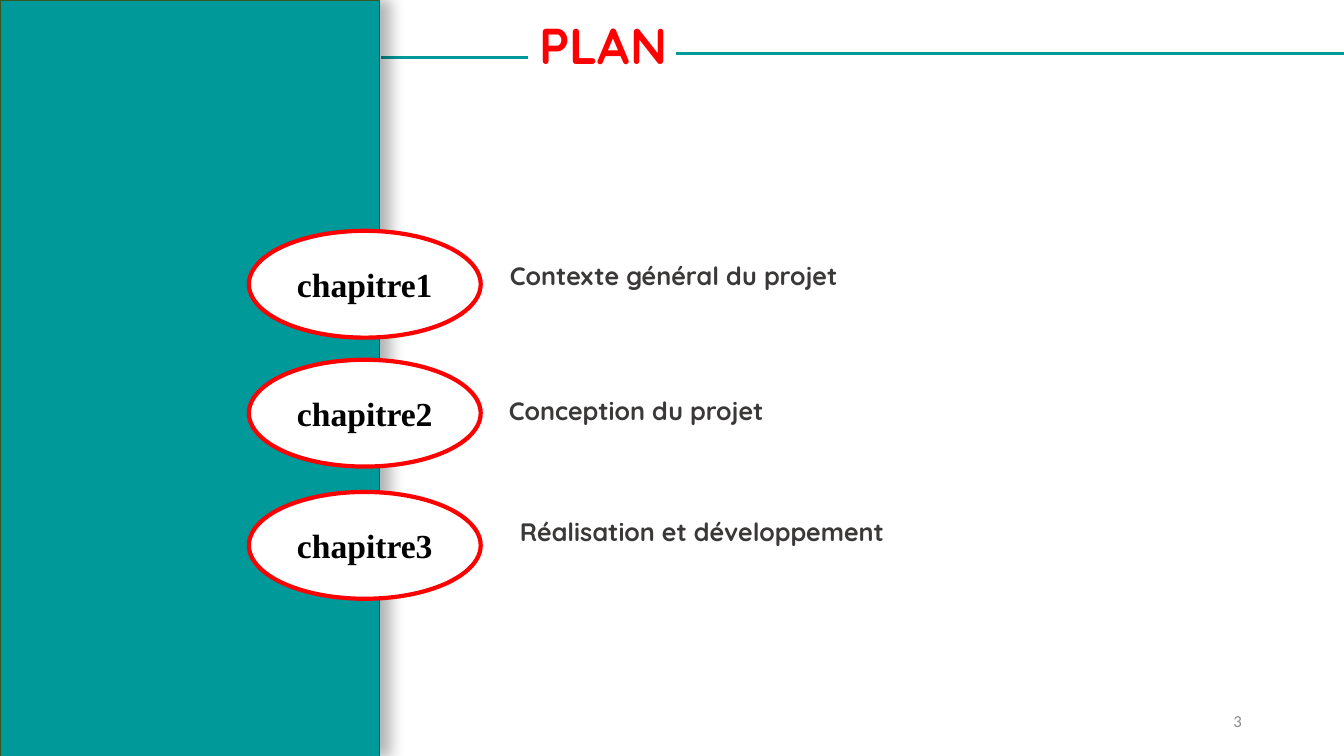
from dataclasses import dataclass

from lxml import etree
from pptx import Presentation
from pptx.dml.color import RGBColor
from pptx.enum import shapes, text
from pptx.oxml import ns
from pptx.util import Pt

TEAL = RGBColor(0x00, 0x99, 0x99)
DARK_GREEN = RGBColor(0x38, 0x57, 0x23)
RED = RGBColor(0xFF, 0x00, 0x00)
WHITE = RGBColor(0xFF, 0xFF, 0xFF)
BLACK = RGBColor(0x00, 0x00, 0x00)
CHARCOAL = RGBColor(0x3B, 0x38, 0x38)
GREY = RGBColor(0x8C, 0x8C, 0x8C)

HEADING_FONT = "Quicksand"
SLIDE_WIDTH, SLIDE_HEIGHT = 960, 540
LEFT, CENTER, RIGHT = text.PP_ALIGN.LEFT, text.PP_ALIGN.CENTER, text.PP_ALIGN.RIGHT
TOP, MIDDLE = text.MSO_ANCHOR.TOP, text.MSO_ANCHOR.MIDDLE


@dataclass(frozen=True)
class TextStyle:
    font: str
    size: float
    color: RGBColor
    bold: bool = True
    align: text.PP_ALIGN = LEFT
    anchor: text.MSO_ANCHOR = TOP


@dataclass(frozen=True)
class Chapter:
    label: str
    topic: str
    oval_top: float
    topic_left: float
    topic_top: float
    topic_width: float


@dataclass(frozen=True)
class Rule:
    start: float
    end: float
    y: float


TITLE = TextStyle(HEADING_FONT, 36, RED, align=CENTER)
TOPIC = TextStyle(HEADING_FONT, 18, CHARCOAL)
LABEL = TextStyle("Times New Roman", 24, BLACK, align=CENTER, anchor=MIDDLE)
PAGE_NUMBER = TextStyle("Calibri", 12, GREY, bold=False, align=RIGHT, anchor=MIDDLE)

CHAPTERS = [
    Chapter("chapitre1", "Contexte général du projet", 164.9, 357.1, 182.2, 373),
    Chapter("chapitre2", "Conception du projet", 257, 356.4, 278.6, 409.7),
    Chapter("chapitre3", "Réalisation et développement", 351.4, 364.3, 365, 566.6),
]
RULES = [Rule(272.2, 377.3, 41), Rule(483.1, SLIDE_WIDTH, 38.2)]


def write(shape, wording: str, style: TextStyle) -> None:
    frame = shape.text_frame
    frame.word_wrap = True
    frame.auto_size = text.MSO_AUTO_SIZE.NONE
    frame.vertical_anchor = style.anchor
    paragraph = frame.paragraphs[0]
    paragraph.alignment = style.align
    run = paragraph.add_run()
    run.text = wording
    run.font.name = style.font
    run.font.size = Pt(style.size)
    run.font.bold = style.bold
    run.font.color.rgb = style.color


def add_text(slide, wording: str, style: TextStyle, left: float, top: float,
             width: float, height: float) -> None:
    box = slide.shapes.add_textbox(Pt(left), Pt(top), Pt(width), Pt(height))
    write(box, wording, style)


def add_outlined(slide, kind: shapes.MSO_SHAPE, left: float, top: float, width: float,
                 height: float, fill: RGBColor, line: RGBColor, weight: float):
    shape = slide.shapes.add_shape(kind, Pt(left), Pt(top), Pt(width), Pt(height))
    shape.shadow.inherit = False
    shape.fill.solid()
    shape.fill.fore_color.rgb = fill
    shape.line.color.rgb = line
    shape.line.width = Pt(weight)
    return shape


def cast_shadow(shape, blur: float, distance: float, opacity: int) -> None:
    effects = shape._element.spPr.find(ns.qn("a:effectLst"))
    shadow = etree.SubElement(effects, ns.qn("a:outerShdw"), blurRad=str(Pt(blur)),
                              dist=str(Pt(distance)), dir="0", algn="l", rotWithShape="0")
    color = etree.SubElement(shadow, ns.qn("a:srgbClr"), val=str(BLACK))
    etree.SubElement(color, ns.qn("a:alpha"), val=str(opacity * 1000))


def add_rule(slide, rule: Rule) -> None:
    line = slide.shapes.add_connector(shapes.MSO_CONNECTOR.STRAIGHT, Pt(rule.start),
                                      Pt(rule.y), Pt(rule.end), Pt(rule.y))
    line.line.color.rgb = TEAL
    line.line.width = Pt(2.25)
    etree.SubElement(line._element.spPr, ns.qn("a:effectLst"))


def add_chapter(slide, chapter: Chapter) -> None:
    oval = add_outlined(slide, shapes.MSO_SHAPE.OVAL, 177.8, chapter.oval_top, 165.6, 76.3,
                        WHITE, RED, 3)
    write(oval, chapter.label, LABEL)
    add_text(slide, chapter.topic, TOPIC, chapter.topic_left, chapter.topic_top,
             chapter.topic_width, 28.8)


def main() -> None:
    deck = Presentation()
    deck.slide_width, deck.slide_height = Pt(SLIDE_WIDTH), Pt(SLIDE_HEIGHT)
    slide = deck.slides.add_slide(deck.slide_layouts[5])

    # Title between its two rules
    title = slide.shapes.title
    title.left, title.top, title.width, title.height = Pt(364.3), Pt(6.5), Pt(133.2), Pt(51.1)
    write(title, "PLAN", TITLE)
    for rule in RULES:
        add_rule(slide, rule)

    # Side panel
    panel = add_outlined(slide, shapes.MSO_SHAPE.RECTANGLE, 0, 0, 270.7, SLIDE_HEIGHT,
                         TEAL, DARK_GREEN, 0.5)
    cast_shadow(panel, blur=10.8, distance=8, opacity=30)

    # Chapters
    for chapter in CHAPTERS:
        add_chapter(slide, chapter)

    # Page number
    add_text(slide, "3", PAGE_NUMBER, 678.2, 500.4, 216, 28.8)

    deck.save("out.pptx")


if __name__ == "__main__":
    main()
